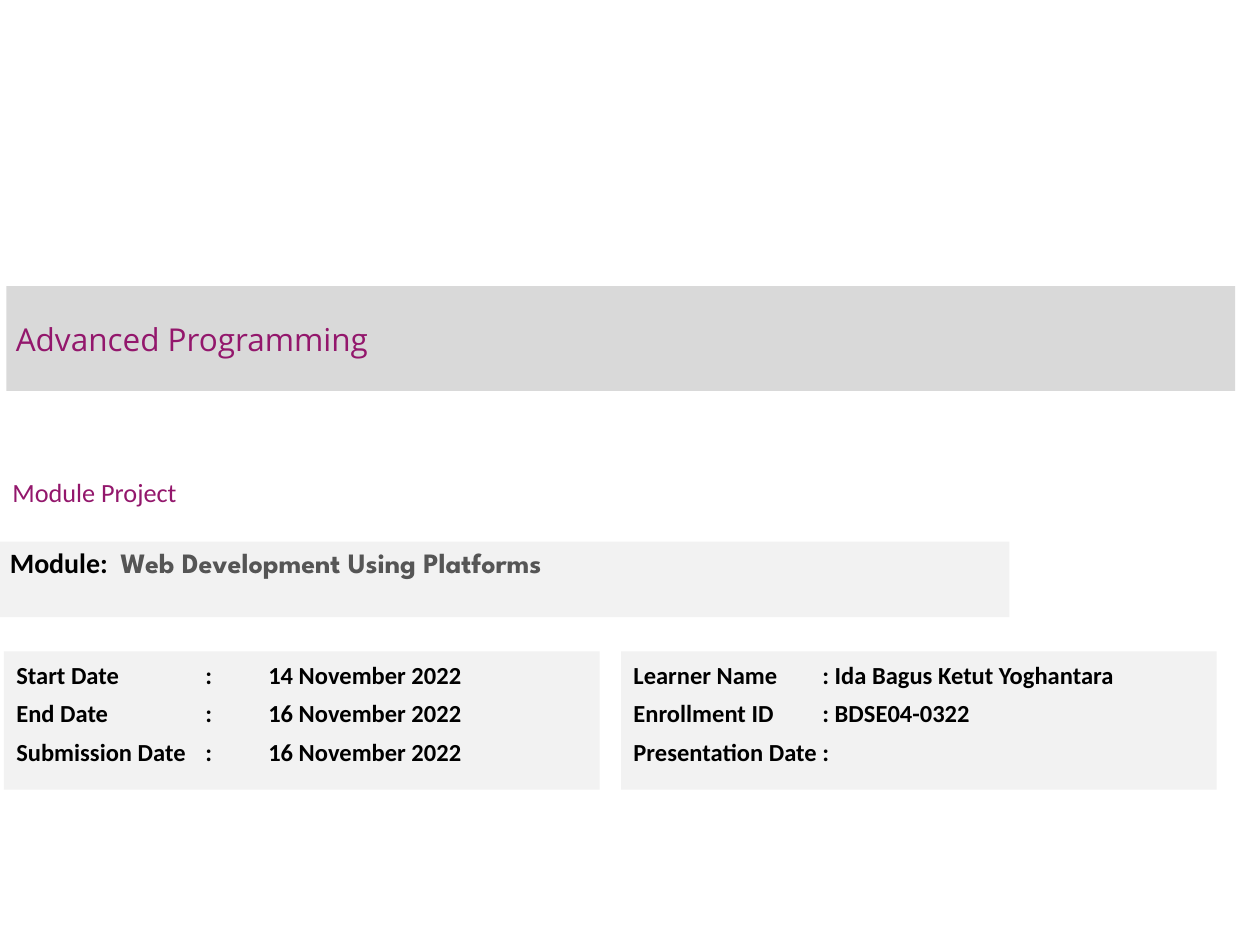
import pptx
import pptx.util
import pptx.dml.color
import pptx.enum.shapes
import pptx.enum.text
import pptx.oxml.ns
import lxml.etree

Cm, Pt = pptx.util.Cm, pptx.util.Pt
PURPLE, BLACK, GRAY = "93176C", "000000", "555555"
BAND, PANEL = "D9D9D9", "F2F2F2"


def color(hex_value):
    return pptx.dml.color.RGBColor.from_string(hex_value)


def style(run, size, ink, bold=False, font="Calibri"):
    run.font.size = Pt(size)
    run.font.name = font
    run.font.bold = bold
    run.font.color.rgb = color(ink)


def set_tabs(paragraph, stops):
    tab_list = lxml.etree.SubElement(
        paragraph._p.get_or_add_pPr(), pptx.oxml.ns.qn("a:tabLst"))
    for stop in stops:
        lxml.etree.SubElement(tab_list, pptx.oxml.ns.qn("a:tab"),
                              pos=str(Cm(stop)), algn="l")


def set_spacing(paragraph, first):
    paragraph.alignment = pptx.enum.text.PP_ALIGN.LEFT
    paragraph.line_spacing = Pt(18)
    paragraph.space_before = Pt(0 if first else 2)
    paragraph.space_after = Pt(2)


def add_panel(slide, box, fill, anchor):
    panel = slide.shapes.add_shape(
        pptx.enum.shapes.MSO_SHAPE.RECTANGLE, *map(Cm, box))
    panel.shadow.inherit = False
    panel.fill.solid()
    panel.fill.fore_color.rgb = color(fill)
    panel.line.fill.background()
    panel.text_frame.word_wrap = True
    panel.text_frame.vertical_anchor = anchor
    return panel.text_frame


def add_course_band(slide, box, course):
    frame = add_panel(slide, box, BAND, pptx.enum.text.MSO_ANCHOR.MIDDLE)
    frame.margin_left = frame.margin_right = Cm(0.19)
    frame.margin_top = frame.margin_bottom = Cm(0.1)
    frame.text = course
    heading = frame.paragraphs[0]
    heading.alignment = pptx.enum.text.PP_ALIGN.LEFT
    style(heading.runs[0], 18, PURPLE, font="Open Sans")


def add_subtitle(slide, box, subtitle):
    frame = slide.shapes.add_textbox(*map(Cm, box)).text_frame
    frame.word_wrap = True
    frame.vertical_anchor = pptx.enum.text.MSO_ANCHOR.MIDDLE
    frame.text = subtitle
    style(frame.paragraphs[0].runs[0], 15, PURPLE)


def add_module_panel(slide, box, label, module):
    frame = add_panel(slide, box, PANEL, pptx.enum.text.MSO_ANCHOR.TOP)
    frame.text = label + "\t"
    line = frame.paragraphs[0]
    set_spacing(line, first=True)
    set_tabs(line, [2.23])
    style(line.runs[0], 16, BLACK, bold=True)
    module_name = line.add_run()
    module_name.text = module
    style(module_name, 16, GRAY, bold=True, font="League Spartan")


def add_details_panel(slide, box, details, stops):
    frame = add_panel(slide, box, PANEL, pptx.enum.text.MSO_ANCHOR.TOP)
    frame.text = "\n".join(details)
    for index, line in enumerate(frame.paragraphs):
        set_spacing(line, first=index == 0)
        set_tabs(line, stops)
        for run in line.runs:
            style(run, 14, BLACK, bold=True)


def main():
    deck = pptx.Presentation()
    deck.slide_width, deck.slide_height = Cm(25.4), Cm(19.05)
    slide = deck.slides.add_slide(deck.slide_layouts[6])

    # Course and project headings
    add_course_band(slide, (0.13, 5.77, 24.77, 2.11), "Advanced Programming")
    add_subtitle(slide, (0, 9.14, 16.31, 1.57), "Module Project")

    # Module name
    add_module_panel(slide, (-0.05, 10.92, 20.4, 1.52),
                     "Module:", "Web Development Using Platforms")

    # Dates and learner, side by side
    top, width, height = 13.13, 12.01, 2.79
    add_details_panel(slide, (0.08, top, width, height), [
        "Start Date\t:\t14 November 2022",
        "End Date\t:\t16 November 2022",
        "Submission Date\t:\t16 November 2022",
    ], stops=[3.81, 5.08])
    add_details_panel(slide, (12.52, top, width, height), [
        "Learner Name\t: Ida Bagus Ketut Yoghantara",
        "Enrollment ID\t: BDSE04-0322",
        "Presentation Date\t:",
    ], stops=[3.81])

    deck.save("out.pptx")


if __name__ == "__main__":
    main()
